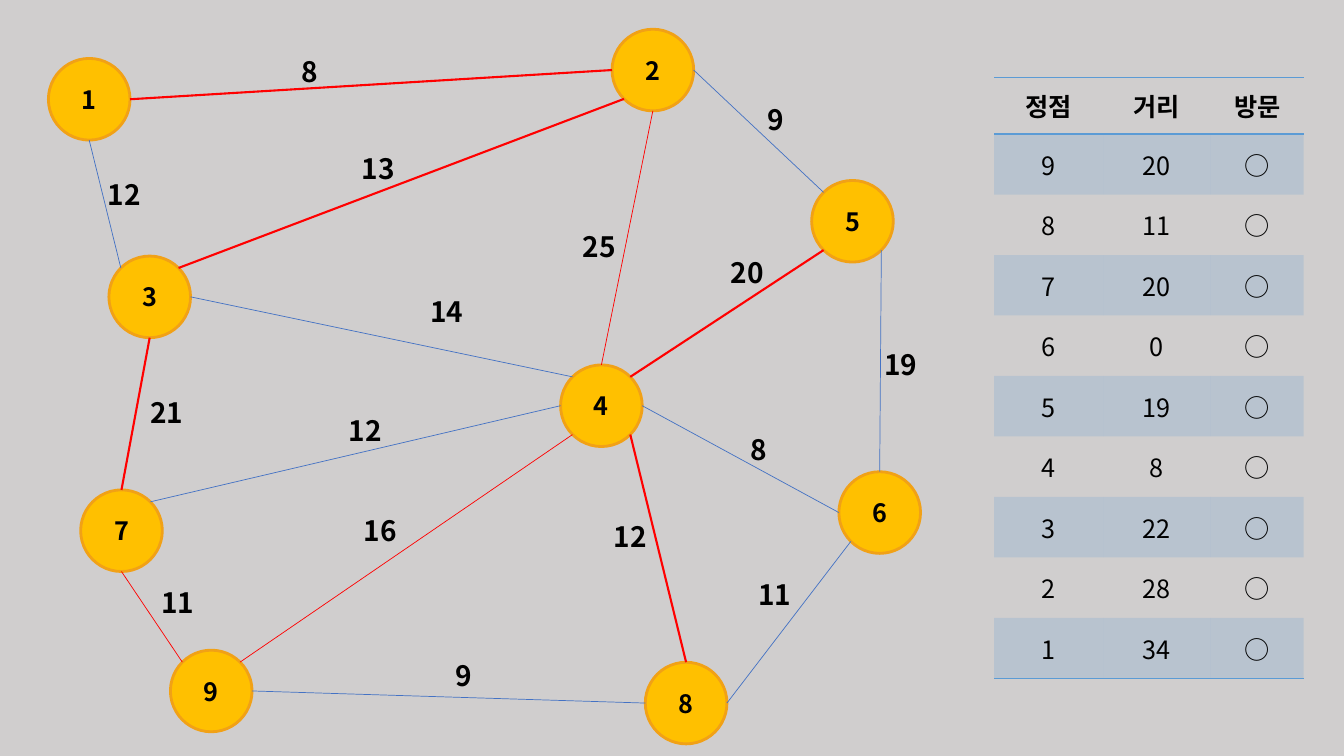
from dataclasses import dataclass
from enum import IntEnum
from math import cos, radians, sin
from typing import NamedTuple

from lxml.etree import SubElement
from pptx import Presentation
from pptx.dml.color import RGBColor
from pptx.enum.shapes import MSO_CONNECTOR, MSO_SHAPE
from pptx.enum.text import MSO_ANCHOR, MSO_AUTO_SIZE, PP_ALIGN
from pptx.oxml.ns import qn
from pptx.shapes.autoshape import Shape
from pptx.slide import Slide
from pptx.table import _Cell
from pptx.text.text import TextFrame
from pptx.util import Inches, Pt


@dataclass(frozen=True)
class Theme:
    """Colours, type sizes and line widths of the slide."""

    font: str = "Noto Sans CJK KR"
    background: str = "D0CECE"
    ink: str = "000000"
    vertex_fill: str = "FFC000"
    vertex_line: str = "F1A116"
    table_accent: str = "5B9BD5"
    band_alpha: int = 20
    body_size: int = 18
    weight_size: int = 20
    vertex_width: float = 2
    rule_width: float = 1


class Stroke(NamedTuple):
    """Line style of a graph edge."""

    color: str
    width: float


class Site(IntEnum):
    """Connection sites of an ellipse, counterclockwise from the top."""

    N = 0
    NW = 1
    W = 2
    SW = 3
    S = 4
    SE = 5
    E = 6
    NE = 7


class Vertex(NamedTuple):
    """Numbered graph vertex with its top left corner in inches."""

    number: int
    left: float
    top: float


class Edge(NamedTuple):
    """Weighted edge between two vertex sites, with the corner of its label."""

    start: int
    start_site: Site
    end: int
    end_site: Site
    stroke: Stroke
    weight: int
    label_left: float
    label_top: float


THEME = Theme()
CHOSEN = Stroke("FF0000", 1.5)
REJECTED = Stroke("FF0000", 0.5)
PLAIN = Stroke("4472C4", 0.5)
DIAMETER = 0.81
NO_STYLE_NO_GRID = "{2D5ABB26-0587-4C30-8999-92F81FD0307C}"

VERTICES = [
    Vertex(1, 0.48, 0.58),
    Vertex(2, 6.07, 0.29),
    Vertex(3, 1.08, 2.54),
    Vertex(4, 5.56, 3.62),
    Vertex(5, 8.05, 1.79),
    Vertex(6, 8.32, 4.68),
    Vertex(7, 0.8, 4.86),
    Vertex(8, 6.4, 6.57),
    Vertex(9, 1.69, 6.45),
]
EDGES = [
    Edge(1, Site.E, 2, Site.W, CHOSEN, 8, 2.89, 0.49),
    Edge(1, Site.S, 3, Site.NW, PLAIN, 12, 0.97, 1.71),
    Edge(8, Site.N, 4, Site.SE, CHOSEN, 12, 5.99, 5.1),
    Edge(2, Site.S, 4, Site.N, REJECTED, 25, 5.68, 2.23),
    Edge(4, Site.SW, 9, Site.NE, REJECTED, 16, 3.51, 5.05),
    Edge(7, Site.N, 3, Site.S, CHOSEN, 21, 1.39, 3.87),
    Edge(5, Site.NW, 2, Site.E, PLAIN, 9, 7.51, 0.97),
    Edge(3, Site.E, 4, Site.NW, PLAIN, 14, 4.17, 2.87),
    Edge(3, Site.NE, 2, Site.SW, CHOSEN, 13, 3.49, 1.45),
    Edge(7, Site.NE, 4, Site.W, PLAIN, 12, 3.36, 4.05),
    Edge(4, Site.E, 6, Site.W, PLAIN, 8, 7.35, 4.24),
    Edge(5, Site.SW, 4, Site.NE, CHOSEN, 20, 7.15, 2.49),
    Edge(5, Site.SE, 6, Site.N, PLAIN, 19, 8.67, 3.4),
    Edge(8, Site.E, 6, Site.SW, PLAIN, 11, 7.42, 5.68),
    Edge(7, Site.S, 9, Site.NW, REJECTED, 11, 1.5, 5.76),
    Edge(9, Site.E, 8, Site.W, PLAIN, 9, 4.42, 6.48),
]
HEADINGS = ("정점", "거리", "방문")
DISTANCES = {9: 20, 8: 11, 7: 20, 6: 0, 5: 19, 4: 8, 3: 22, 2: 28, 1: 34}
COLUMN_WIDTHS = (1.08, 1.07, 0.92)
HEADING_HEIGHT, ROW_HEIGHT = 0.56, 0.6


def write_text(frame: TextFrame, text: str, *, size: float = THEME.body_size,
               bold: bool = False, align: PP_ALIGN = PP_ALIGN.CENTER) -> None:
    """Write one formatted run into a text frame."""
    paragraph = frame.paragraphs[0]
    paragraph.alignment = align
    run = paragraph.add_run()
    run.text = text
    run.font.size = Pt(size)
    run.font.bold = bold
    run.font.name = THEME.font
    run.font.color.rgb = RGBColor.from_string(THEME.ink)
    SubElement(run._r.get_or_add_rPr(), qn("a:ea"), typeface=THEME.font)


def draw_vertex(slide: Slide, vertex: Vertex) -> Shape:
    """Draw a numbered circle."""
    circle = slide.shapes.add_shape(
        MSO_SHAPE.OVAL, Inches(vertex.left), Inches(vertex.top),
        Inches(DIAMETER), Inches(DIAMETER))
    circle.shadow.inherit = False
    circle.fill.solid()
    circle.fill.fore_color.rgb = RGBColor.from_string(THEME.vertex_fill)
    circle.line.color.rgb = RGBColor.from_string(THEME.vertex_line)
    circle.line.width = Pt(THEME.vertex_width)
    circle.text_frame.vertical_anchor = MSO_ANCHOR.MIDDLE
    write_text(circle.text_frame, str(vertex.number), bold=True)
    return circle


def site_point(circle: Shape, site: Site) -> tuple[int, int]:
    """Return the position of a connection site on a circle."""
    angle = radians(-90 - 45 * site)
    radius = circle.width / 2
    return (round(circle.left + radius * (1 + cos(angle))),
            round(circle.top + radius * (1 + sin(angle))))


def draw_edge(slide: Slide, edge: Edge, circles: dict[int, Shape]) -> None:
    """Draw an edge attached to its two vertices."""
    start, end = circles[edge.start], circles[edge.end]
    connector = slide.shapes.add_connector(
        MSO_CONNECTOR.STRAIGHT, *site_point(start, edge.start_site),
        *site_point(end, edge.end_site))
    connector.line.color.rgb = RGBColor.from_string(edge.stroke.color)
    connector.line.width = Pt(edge.stroke.width)
    SubElement(connector.element.spPr, qn("a:effectLst"))
    links = connector.element.find(".//" + qn("p:cNvCxnSpPr"))
    for tag, circle, site in (("a:stCxn", start, edge.start_site),
                              ("a:endCxn", end, edge.end_site)):
        SubElement(links, qn(tag), id=str(circle.shape_id), idx=str(int(site)))


def draw_weight(slide: Slide, edge: Edge) -> None:
    """Write the weight of an edge beside it."""
    weight = str(edge.weight)
    label = slide.shapes.add_textbox(
        Inches(edge.label_left), Inches(edge.label_top),
        Inches(0.19 + 0.17 * len(weight)), Inches(0.44))
    label.text_frame.word_wrap = False
    label.text_frame.auto_size = MSO_AUTO_SIZE.SHAPE_TO_FIT_TEXT
    write_text(label.text_frame, weight, size=THEME.weight_size, bold=True,
               align=PP_ALIGN.LEFT)


def rule_cell(cell: _Cell, *sides: str) -> None:
    """Draw accent rules on the given sides of a cell."""
    properties = cell._tc.get_or_add_tcPr()
    for side in sides:
        rule = SubElement(properties, qn(side), w=str(int(Pt(THEME.rule_width))))
        SubElement(SubElement(rule, qn("a:solidFill")), qn("a:srgbClr"), val=THEME.table_accent)


def fill_band(cell: _Cell) -> None:
    """Give a cell the translucent band colour."""
    cell.fill.solid()
    cell.fill.fore_color.rgb = RGBColor.from_string(THEME.table_accent)
    color = cell._tc.tcPr.find(qn("a:solidFill")).find(qn("a:srgbClr"))
    SubElement(color, qn("a:alpha"), val=str(THEME.band_alpha * 1000))


def draw_distances(slide: Slide) -> None:
    """Draw the table of vertices, distances and visits."""
    rows = [HEADINGS, *((str(v), str(d), "○") for v, d in DISTANCES.items())]
    last = len(rows) - 1
    table = slide.shapes.add_table(
        len(rows), len(HEADINGS), Inches(9.86), Inches(0.77), Inches(sum(COLUMN_WIDTHS)),
        Inches(HEADING_HEIGHT + ROW_HEIGHT * last)).table
    table._tbl.tblPr.find(qn("a:tableStyleId")).text = NO_STYLE_NO_GRID
    table.horz_banding = False
    for column, width in zip(table.columns, COLUMN_WIDTHS):
        column.width = Inches(width)
    for index, values in enumerate(rows):
        table.rows[index].height = Inches(ROW_HEIGHT if index else HEADING_HEIGHT)
        for position, value in enumerate(values):
            cell = table.cell(index, position)
            cell.vertical_anchor = MSO_ANCHOR.MIDDLE
            write_text(cell.text_frame, value, bold=index == 0)
            if index == 0:
                rule_cell(cell, "a:lnT", "a:lnB")
            elif index == last:
                rule_cell(cell, "a:lnB")
            if index % 2:
                fill_band(cell)
            else:
                cell.fill.background()


def main() -> None:
    """Build the slide and save it."""
    deck = Presentation()
    deck.slide_width, deck.slide_height = Inches(13.33), Inches(7.5)
    slide = deck.slides.add_slide(deck.slide_layouts[6])
    slide.background.fill.solid()
    slide.background.fill.fore_color.rgb = RGBColor.from_string(THEME.background)
    draw_distances(slide)
    circles = {vertex.number: draw_vertex(slide, vertex) for vertex in VERTICES}
    for edge in EDGES:
        draw_edge(slide, edge, circles)
        draw_weight(slide, edge)
    deck.save("out.pptx")


if __name__ == "__main__":
    main()
